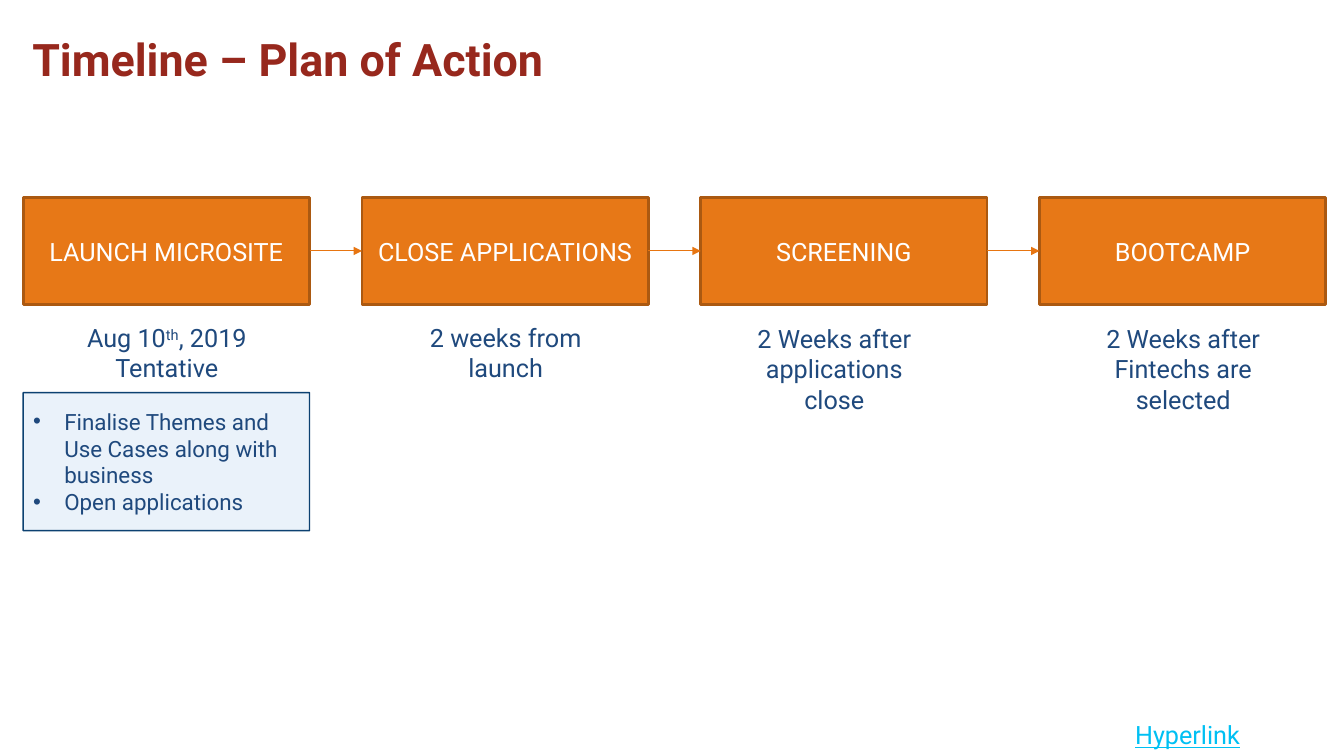
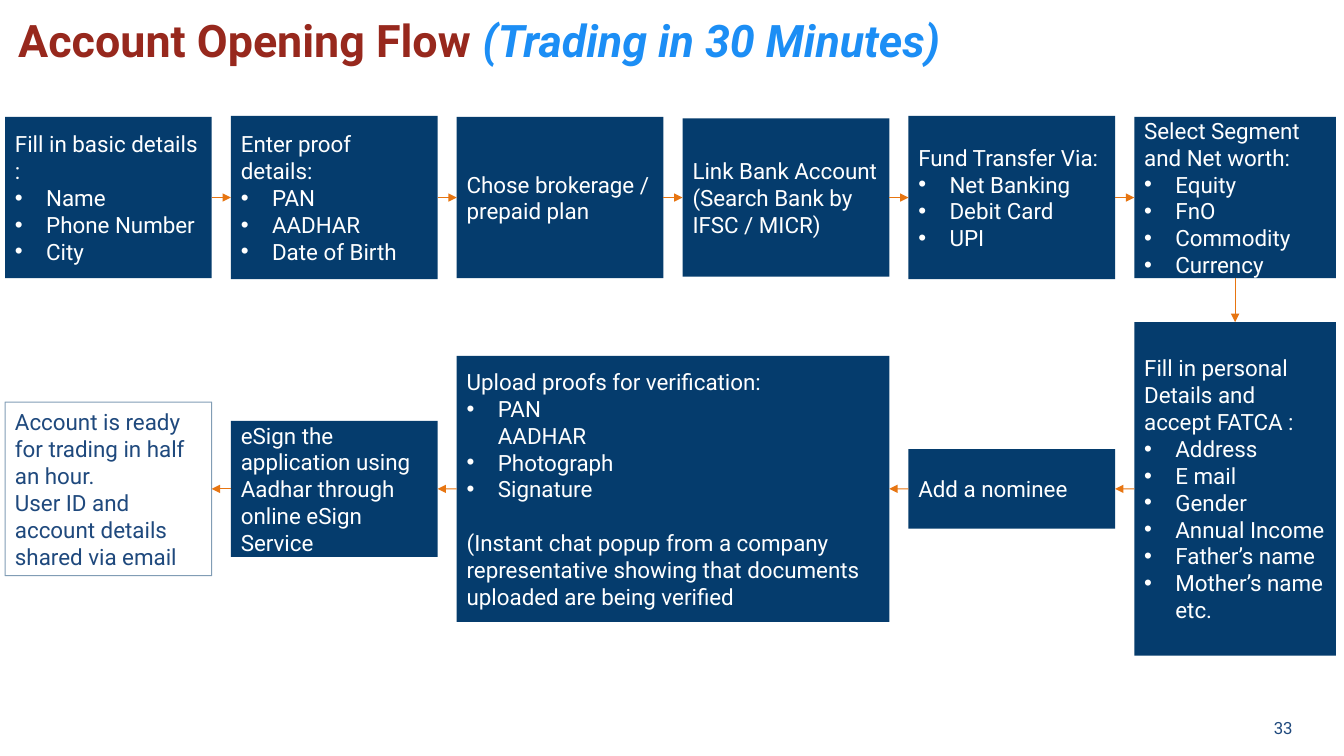
from lxml import etree
from pptx import Presentation
from pptx.dml.color import RGBColor
from pptx.enum.shapes import MSO_CONNECTOR, MSO_SHAPE
from pptx.enum.text import MSO_ANCHOR, MSO_AUTO_SIZE, PP_ALIGN
from pptx.oxml.ns import qn
from pptx.util import Inches, Pt

FONT = "Roboto"
WHITE = RGBColor(0xFF, 0xFF, 0xFF)
RED = RGBColor(0x97, 0x28, 0x1D)
BLUE = RGBColor(0x1F, 0x49, 0x7D)
NAVY = RGBColor(0x05, 0x3C, 0x6D)
SKY = RGBColor(0x1C, 0x8E, 0xF5)
CYAN = RGBColor(0x00, 0xC0, 0xF3)
PALE = RGBColor(0xEA, 0xF2, 0xFA)
ORANGE = RGBColor(0xE7, 0x78, 0x17)
BROWN = RGBColor(0xAB, 0x59, 0x11)
ARROW = RGBColor(0xE7, 0x75, 0x11)

RECT = MSO_SHAPE.RECTANGLE
STRAIGHT = MSO_CONNECTOR.STRAIGHT
LEFT, CENTER, RIGHT = PP_ALIGN.LEFT, PP_ALIGN.CENTER, PP_ALIGN.RIGHT
TOP, MIDDLE = MSO_ANCHOR.TOP, MSO_ANCHOR.MIDDLE
FIXED = MSO_AUTO_SIZE.NONE
TITLE_ONLY = 5
NORTH, WEST, SOUTH, EAST = range(4)


def add_bullet(para):
    """Give a paragraph a round bullet and a hanging indent."""
    props = para._p.get_or_add_pPr()
    props.set("marL", str(Inches(0.31)))
    props.set("indent", str(-Inches(0.31)))
    etree.SubElement(props, qn("a:buFont")).set("typeface", "Arial")
    etree.SubElement(props, qn("a:buChar")).set("char", "•")


def write(frame, lines, size=16, color=WHITE, bold=False, under=False,
          align=LEFT, anchor=MIDDLE, gaps=None):
    """Fill a frame with lines; a leading bullet sign makes a list item."""
    frame.word_wrap = True
    frame.auto_size = FIXED
    frame.vertical_anchor = anchor
    for i, line in enumerate(lines):
        para = frame.paragraphs[0] if i == 0 else frame.add_paragraph()
        para.alignment = align
        if gaps and i in gaps:
            para.space_before = Pt(gaps[i])
        looks = {}
        if isinstance(line, str):
            if line.startswith("•"):
                add_bullet(para)
            para.text = line.lstrip("•")
        else:
            for j, (words, look) in enumerate(line):
                para.add_run().text = words
                looks[j] = look
        for j, run in enumerate(para.runs):
            look = looks.get(j, {})
            font = run.font
            font.name, font.size = FONT, Pt(size)
            font.bold, font.underline = bold, under
            font.italic = look.get("italic", False)
            font.color.rgb = look.get("color", color)
            if "raise" in look:
                run._r.get_or_add_rPr().set("baseline", look["raise"])


class Deck:
    """Hold the shared style and the current slide."""

    def __init__(self):
        """Open a wide deck."""
        self.prs = Presentation()
        self.prs.slide_width = Inches(13.33)
        self.prs.slide_height = Inches(7.5)
        self.slide = None

    def page(self, title, left, top, width, height):
        """Start a slide with its title."""
        self.slide = self.prs.slides.add_slide(
            self.prs.slide_layouts[TITLE_ONLY])
        head = self.slide.shapes.title
        head.left, head.top = Inches(left), Inches(top)
        head.width, head.height = Inches(width), Inches(height)
        write(head.text_frame, [title], size=32, color=RED, bold=True,
              anchor=TOP)

    def text(self, lines, left, top, width, height, **style):
        """Add a plain text box."""
        box = self.slide.shapes.add_textbox(
            Inches(left), Inches(top), Inches(width), Inches(height))
        write(box.text_frame, lines, **style)

    def box(self, lines, left, mid, width, height, fill=NAVY, edge=None,
            weight=1, alpha=100, **style):
        """Add a rectangle centred on the height mid."""
        rect = self.slide.shapes.add_shape(
            RECT, Inches(left), Inches(mid - height / 2),
            Inches(width), Inches(height))
        rect.shadow.inherit = False
        if fill is None:
            rect.fill.background()
        else:
            rect.fill.solid()
            rect.fill.fore_color.rgb = fill
        if edge is None:
            rect.line.fill.background()
        else:
            rect.line.color.rgb = edge
            rect.line.width = Pt(weight)
            if alpha < 100:
                tint = rect.line._ln.find(".//" + qn("a:srgbClr"))
                etree.SubElement(tint, qn("a:alpha")).set(
                    "val", str(alpha * 1000))
        write(rect.text_frame, lines, **style)
        return rect

    def arrow(self, start, end, leave=EAST, enter=WEST):
        """Join two boxes with an arrow."""
        link = self.slide.shapes.add_connector(STRAIGHT, 0, 0, 0, 0)
        link.begin_connect(start, leave)
        link.end_connect(end, enter)
        link.line.color.rgb = ARROW
        link.line.width = Pt(0.75)
        etree.SubElement(link.line._ln, qn("a:tailEnd")).set(
            "type", "triangle")
        etree.SubElement(link._element.spPr, qn("a:effectLst"))

    def chain(self, boxes, leave=EAST, enter=WEST):
        """Join each box to the next one."""
        for start, end in zip(boxes, boxes[1:]):
            self.arrow(start, end, leave, enter)


def timeline(deck):
    """Build the plan of action."""
    deck.page([("Timeline – Plan of Action", {})], 0.22, 0.26, 12.78, 0.82)
    date = [("Aug 10", {}), ("th", {"raise": "30000"}), (", 2019", {})]
    steps = [
        ("LAUNCH MICROSITE", [date, "Tentative"], 0.62, 3.15, 2.07),
        ("CLOSE APPLICATIONS", ["2 weeks from launch"], 4.07, 3.15, 1.89),
        ("SCREENING", ["2 Weeks after applications close"],
         7.33, 3.16, 1.89),
        ("BOOTCAMP", ["2 Weeks after Fintechs are selected"],
         10.79, 3.16, 1.89),
    ]
    boxes = []
    for i, (name, when, left, top, width) in enumerate(steps):
        boxes.append(deck.box([name], 0.23 + 3.36 * i, 2.49, 2.84, 1.06,
                              fill=ORANGE, edge=BROWN, weight=2, size=18,
                              align=CENTER))
        deck.text(when, left, top, width, 1, size=18, color=BLUE,
                  align=CENTER, anchor=TOP)
    deck.chain(boxes)
    deck.box(["•Finalise Themes and Use Cases along with business",
              "•Open applications"], 0.23, 4.58, 2.84, 1.37,
             fill=PALE, edge=NAVY, alpha=96, color=BLUE)
    deck.text(["Hyperlink"], 11.16, 7.09, 1.55, 0.4, size=18, color=CYAN,
              under=True, anchor=TOP)


def account(deck):
    """Build the account opening flow."""
    deck.page([("Account Opening Flow ", {}),
               ("(Trading in 30 Minutes)", {"color": SKY, "italic": True})],
              0.08, 0.08, 13.08, 0.66)
    cols = [0.05 + 2.24 * i for i in range(6)]
    wide, last = 2.05, 2
    upper = [
        (["Fill in basic details :", "•Name", "•Phone Number", "•City"],
         wide, 1.6),
        (["Enter proof details:", "•PAN", "•AADHAR", "•Date of Birth"],
         wide, 1.62),
        (["Chose brokerage / prepaid plan"], wide, 1.6),
        (["Link Bank Account", "(Search Bank by IFSC / MICR)"], wide, 1.57),
        (["Fund Transfer Via:", "•Net Banking", "•Debit Card", "•UPI"],
         wide, 1.62),
        (["Select Segment and Net worth:", "•Equity", "•FnO", "•Commodity",
          "•Currency"], last, 1.6),
    ]
    proofs = ["Upload proofs for verification:", "•PAN\vAADHAR",
              "•Photograph", "•Signature",
              "(Instant chat popup from a company representative showing "
              "that documents uploaded are being verified"]
    done = {"fill": None, "edge": NAVY, "weight": 0.75, "alpha": 50,
            "color": BLUE}
    lower = [
        (["Fill in personal Details and accept FATCA :", "•Address",
          "•E mail", "•Gender", "•Annual Income", "•Father’s name",
          "•Mother’s name etc."], 5, last, 3.31, {}),
        (["Add a nominee"], 4, wide, 0.79, {}),
        (proofs, 2, 4.29, 2.64, {"gaps": {4: 19}}),
        (["eSign the application using Aadhar through online eSign Service"],
         1, wide, 1.35, {}),
        (["Account is ready for trading in half an hour.",
          "User ID and account details shared via email"],
         0, wide, 1.72, done),
    ]
    first = [deck.box(lines, left, 1.96, width, height)
             for left, (lines, width, height) in zip(cols, upper)]
    second = [deck.box(lines, cols[col], 4.85, width, height, **style)
              for lines, col, width, height, style in lower]
    deck.chain(first)
    deck.arrow(first[-1], second[0], SOUTH, NORTH)
    deck.chain(second, WEST, EAST)
    deck.text(["33"], 12.25, 7.02, 0.67, 0.4, size=12, color=BLUE,
              align=RIGHT)


def main():
    """Build and save the deck."""
    deck = Deck()
    timeline(deck)
    account(deck)
    deck.prs.save("out.pptx")


if __name__ == "__main__":
    main()
